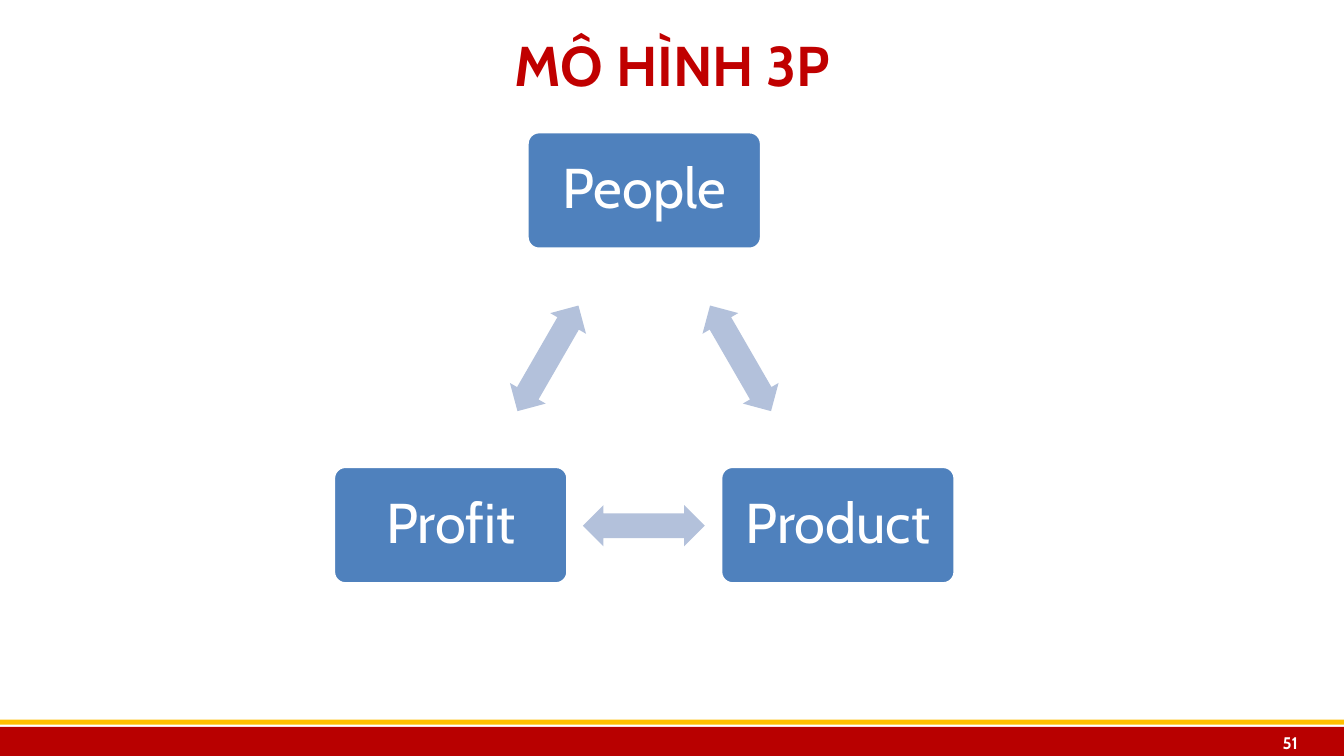
from typing import NamedTuple

from pptx import Presentation
from pptx.dml.color import RGBColor
from pptx.enum.shapes import MSO_SHAPE
from pptx.enum.text import MSO_ANCHOR, PP_ALIGN
from pptx.util import Inches, Pt

RECT = MSO_SHAPE.RECTANGLE
ROUND = MSO_SHAPE.ROUNDED_RECTANGLE
ARROW = MSO_SHAPE.LEFT_RIGHT_ARROW
MIDDLE = MSO_ANCHOR.MIDDLE
CENTER, RIGHT = PP_ALIGN.CENTER, PP_ALIGN.RIGHT

FONT = "Cabin"
WHITE, RED, GOLD = "FFFFFF", "B80000", "FFC000"
TITLE, BLUE, PALE = "C00000", "4F81BD", "B3C1DB"


class Box(NamedTuple):
    left: float
    top: float
    width: float
    height: float


class Node(NamedTuple):
    text: str
    left: float
    top: float


class Link(NamedTuple):
    left: float
    top: float
    angle: int


BARS = [(Box(0, 7.21, 13.33, 0.31), RED), (Box(-0.01, 7.14, 13.36, 0.05), GOLD)]
NODES = [Node("People", 5.23, 1.31), Node("Product", 7.15, 4.63), Node("Profit", 3.31, 4.63)]
LINKS = [Link(6.74, 3.35, 60), Link(5.78, 5.01, 180), Link(4.83, 3.35, 300)]


def color(code: str) -> RGBColor:
    return RGBColor.from_string(code)


def place(box: Box) -> list:
    return [Inches(side) for side in box]


def draw(slide, kind, box: Box, fill: str):
    shape = slide.shapes.add_shape(kind, *place(box))
    shape.shadow.inherit = False
    shape.fill.solid()
    shape.fill.fore_color.rgb = color(fill)
    shape.line.fill.background()
    return shape


def write(shape, text: str, size: int, code: str, align, pad: tuple, bold: bool = False):
    frame = shape.text_frame
    frame.text = text
    frame.word_wrap = True
    frame.vertical_anchor = MIDDLE
    frame.margin_left = frame.margin_right = Inches(pad[0])
    frame.margin_top = frame.margin_bottom = Inches(pad[1])
    para = frame.paragraphs[0]
    para.alignment = align
    font = para.runs[0].font
    font.name, font.size, font.bold = FONT, Pt(size), bold
    font.color.rgb = color(code)
    return para


def label(slide, box: Box, text: str, size: int, code: str, align, pad: tuple) -> None:
    write(slide.shapes.add_textbox(*place(box)), text, size, code, align, pad, True)


def add_node(slide, node: Node) -> None:
    shape = draw(slide, ROUND, Box(node.left, node.top, 2.32, 1.16), BLUE)
    shape.adjustments[0] = 0.1
    shape.line.color.rgb = color(WHITE)
    shape.line.width = Pt(2)
    para = write(shape, node.text, 40, WHITE, CENTER, (0.17, 0.17))
    para.line_spacing = 0.9
    para.space_after = Pt(14)


def add_link(slide, link: Link) -> None:
    shape = draw(slide, ARROW, Box(link.left, link.top, 1.21, 0.41), PALE)
    shape.adjustments[0] = 0.6
    shape.adjustments[1] = 0.5
    shape.rotation = link.angle


def main() -> None:
    deck = Presentation()
    deck.slide_width, deck.slide_height = Inches(13.33), Inches(7.5)
    slide = deck.slides.add_slide(deck.slide_layouts[6])

    # Footer bars and title
    for box, fill in BARS:
        draw(slide, RECT, box, fill)
    label(slide, Box(0.37, 0.05, 12.6, 1.18), "MÔ HÌNH 3P", 40, TITLE, CENTER, (0.1, 0.05))

    # Cycle of three nodes
    for node, link in zip(NODES, LINKS):
        add_node(slide, node)
        add_link(slide, link)

    # Page number
    label(slide, Box(12.1, 7.21, 0.87, 0.31), "51", 12, WHITE, RIGHT, (0.1, 0))
    deck.save("out.pptx")


if __name__ == "__main__":
    main()
